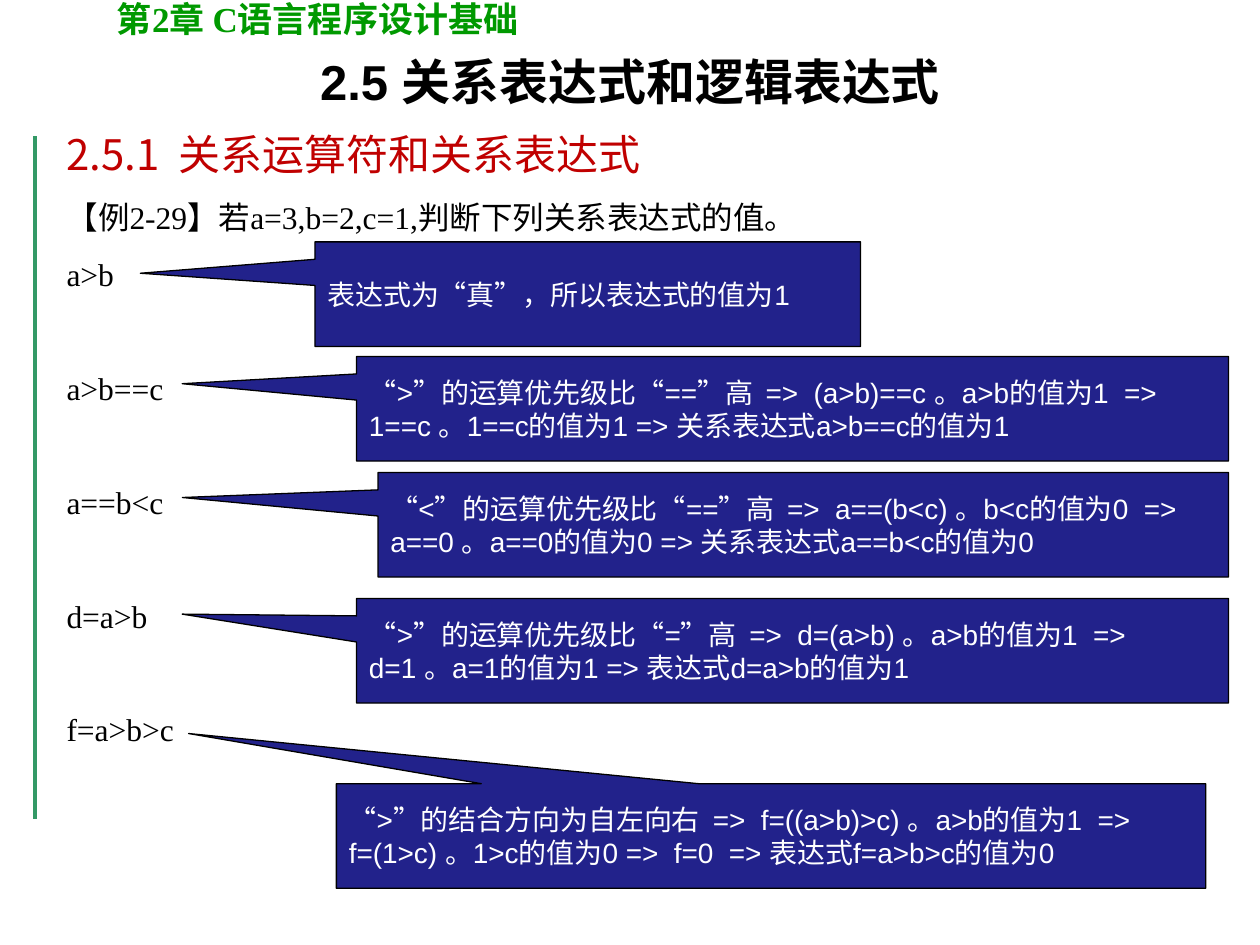
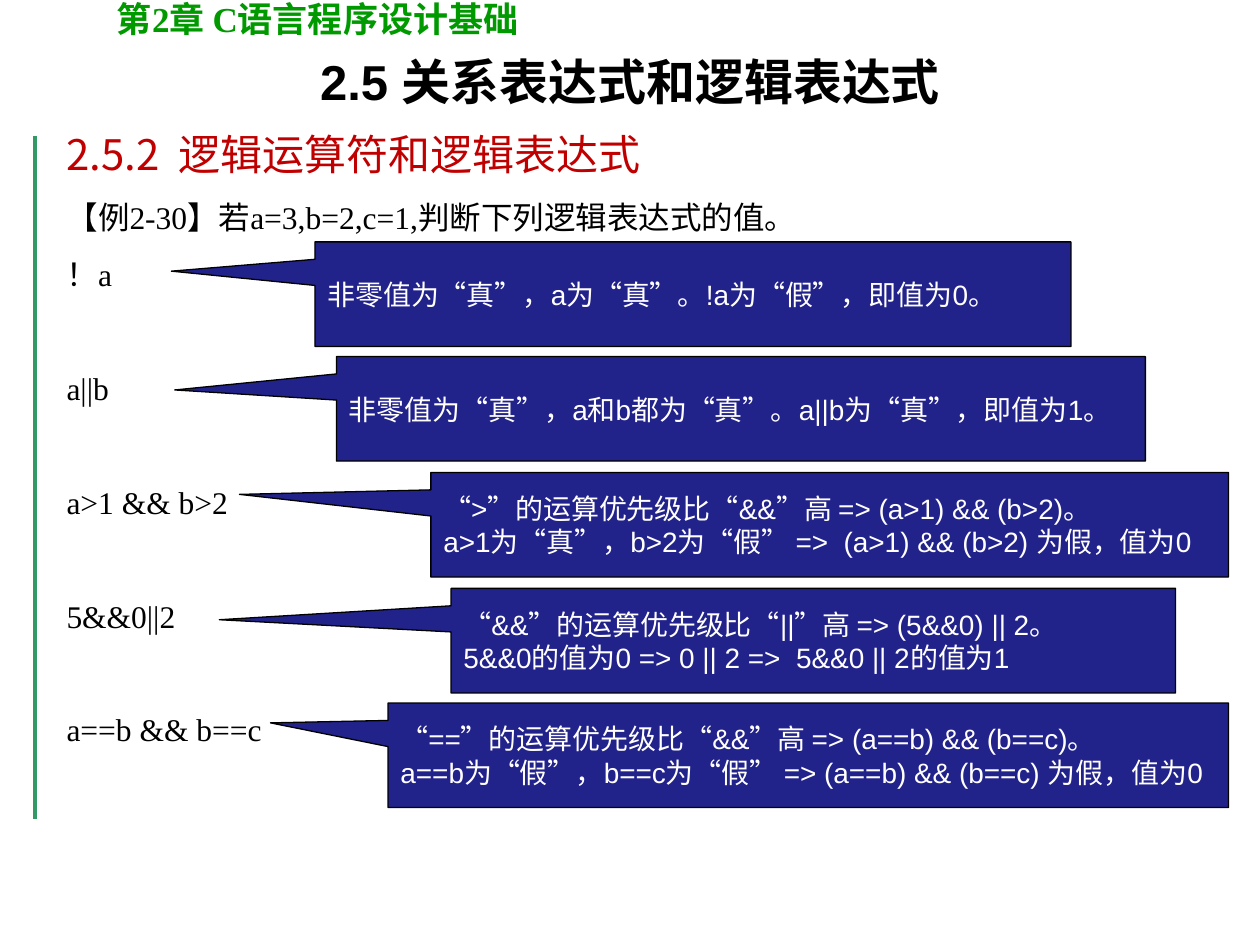
from dataclasses import dataclass

from lxml.etree import SubElement
from pptx import Presentation
from pptx.dml.color import RGBColor
from pptx.enum.shapes import MSO_CONNECTOR as Connector, MSO_SHAPE as Shape
from pptx.enum.text import MSO_ANCHOR as Anchor, PP_ALIGN as Align
from pptx.oxml.ns import qn
from pptx.util import Inches, Pt


@dataclass(frozen=True)
class TextStyle:
    size: int
    font: str
    color: str
    bold: bool = False


class Theme:
    east_asian = "Noto Sans CJK SC"
    rule_color = "339966"
    callout_fill = "22228B"
    callout_line = "000000"
    chapter = TextStyle(20, "Times New Roman", "009900", True)
    title = TextStyle(28, "Arial", "000000", True)
    section = TextStyle(24, "Noto Sans CJK SC", "C00000")
    body = TextStyle(18, "Times New Roman", "000000")
    callout = TextStyle(16, "Arial", "FFFFFF")


CHAPTER = "第2章 C语言程序设计基础"
TITLE = "2.5 关系表达式和逻辑表达式"
CALLOUT_HEIGHT = 0.83
BODY_GAP = 4.5
EXPRESSION_GAP = 37

# Each callout: left, top, width, pointer offset (x, y), text
RELATIONAL = {
    "section": "2.5.1  关系运算符和关系表达式",
    "example": "【例2-29】若a=3,b=2,c=1,判断下列关系表达式的值。",
    "expressions": ["a>b", "a>b==c", "a==b<c", "d=a>b", "f=a>b>c"],
    "callouts": [
        (2.5, 1.92, 4.33, (-0.82, -0.2), "表达式为“真”，所以表达式的值为1"),
        (2.83, 2.83, 6.92, (-0.7, -0.24),
         "“>”的运算优先级比“==”高  =>  (a>b)==c 。a>b的值为1  =>  1==c 。"
         "1==c的值为1 => 关系表达式a>b==c的值为1"),
        (3, 3.75, 6.75, (-0.73, -0.26),
         "“<”的运算优先级比“==”高  =>  a==(b<c) 。b<c的值为0  =>  a==0 。"
         "a==0的值为0 => 关系表达式a==b<c的值为0"),
        (2.83, 4.75, 6.92, (-0.7, -0.35),
         "“>”的运算优先级比“=”高  =>  d=(a>b) 。a>b的值为1  =>  d=1 。"
         "a=1的值为1 => 表达式d=a>b的值为1"),
        (2.67, 6.22, 6.9, (-0.67, -0.98),
         "“>”的结合方向为自左向右  =>  f=((a>b)>c) 。a>b的值为1  =>  f=(1>c) 。"
         "1>c的值为0 =>  f=0  => 表达式f=a>b>c的值为0"),
    ],
}
LOGICAL = {
    "section": "2.5.2  逻辑运算符和逻辑表达式",
    "example": "【例2-30】若a=3,b=2,c=1,判断下列逻辑表达式的值。",
    "expressions": ["！a", "a||b", "a>1 && b>2", "5&&0||2", "a==b && b==c"],
    "callouts": [
        (2.5, 1.92, 6, (-0.69, -0.22),
         "非零值为“真”，a为“真”。!a为“假”，即值为0。"),
        (2.67, 2.83, 6.42, (-0.7, -0.18),
         "非零值为“真”，a和b都为“真”。a||b为“真”，即值为1。"),
        (3.42, 3.75, 6.33, (-0.74, -0.29),
         "“>”的运算优先级比“&&”高 => (a>1) && (b>2)。\n"
         "a>1为“真”，b>2为“假” =>  (a>1) && (b>2) 为假，值为0"),
        (3.58, 4.67, 5.75, (-0.82, -0.2),
         "“&&”的运算优先级比“||”高 => (5&&0) || 2。\n"
         "5&&0的值为0 => 0 || 2 =>  5&&0 || 2的值为1"),
        (3.08, 5.58, 6.67, (-0.64, -0.31),
         "“==”的运算优先级比“&&”高 => (a==b) && (b==c)。\n"
         "a==b为“假”，b==c为“假” => (a==b) && (b==c) 为假，值为0"),
    ],
}


def rgb(color):
    return RGBColor.from_string(color)


def style_paragraph(para, style, line_spacing=1.0, before=0, align=Align.LEFT):
    para.alignment = align
    para.line_spacing = line_spacing
    para.space_before = Pt(before)
    for span in para.runs:
        span.font.size = Pt(style.size)
        span.font.name = style.font
        span.font.bold = style.bold
        span.font.color.rgb = rgb(style.color)
        east_asian = SubElement(span.font._element, qn("a:ea"))
        east_asian.set("typeface", Theme.east_asian)


def add_text(page, left, top, width, height, text):
    box = page.shapes.add_textbox(
        Inches(left), Inches(top), Inches(width), Inches(height))
    box.text_frame.word_wrap = True
    box.text_frame.text = text
    return box.text_frame.paragraphs


def add_frame(page):
    """Draw the side rule and chapter name that every page carries."""
    rule = page.shapes.add_connector(
        Connector.STRAIGHT, Inches(0.28), Inches(1.08), Inches(0.28), Inches(6.5))
    rule.line.color.rgb = rgb(Theme.rule_color)
    rule.line.width = Pt(2.25)
    SubElement(rule._element.spPr, qn("a:effectLst"))
    chapter, = add_text(page, 0.83, -0.07, 5.75, 0.44, CHAPTER)
    style_paragraph(chapter, Theme.chapter)


def add_content(page, section, example, expressions):
    lines = [TITLE, section, example, *expressions]
    title, heading, task, first, *others = add_text(
        page, 0.43, 0.36, 9.14, 6.09, "\n".join(lines))
    style_paragraph(title, Theme.title, align=Align.CENTER)
    style_paragraph(heading, Theme.section, 1.15, 6)
    for para in (task, first):
        style_paragraph(para, Theme.body, 1.3, BODY_GAP)
    for para in others:
        style_paragraph(para, Theme.body, 1.3, EXPRESSION_GAP)


def add_callout(page, left, top, width, pointer, text):
    callout = page.shapes.add_shape(
        Shape.RECTANGULAR_CALLOUT, Inches(left), Inches(top),
        Inches(width), Inches(CALLOUT_HEIGHT))
    callout.adjustments[0], callout.adjustments[1] = pointer
    callout.shadow.inherit = False
    callout.fill.solid()
    callout.fill.fore_color.rgb = rgb(Theme.callout_fill)
    callout.line.color.rgb = rgb(Theme.callout_line)
    callout.line.width = Pt(0.75)
    frame = callout.text_frame
    frame.word_wrap = True
    frame.vertical_anchor = Anchor.MIDDLE
    frame.text = text
    for para in frame.paragraphs:
        style_paragraph(para, Theme.callout)


def add_lesson(deck, lesson):
    page = deck.slides.add_slide(deck.slide_layouts[6])
    add_frame(page)
    add_content(page, lesson["section"], lesson["example"], lesson["expressions"])
    for callout in lesson["callouts"]:
        add_callout(page, *callout)


def main():
    deck = Presentation()
    deck.slide_width, deck.slide_height = Inches(10), Inches(7.5)
    for lesson in (RELATIONAL, LOGICAL):
        add_lesson(deck, lesson)
    deck.save("out.pptx")


if __name__ == "__main__":
    main()
